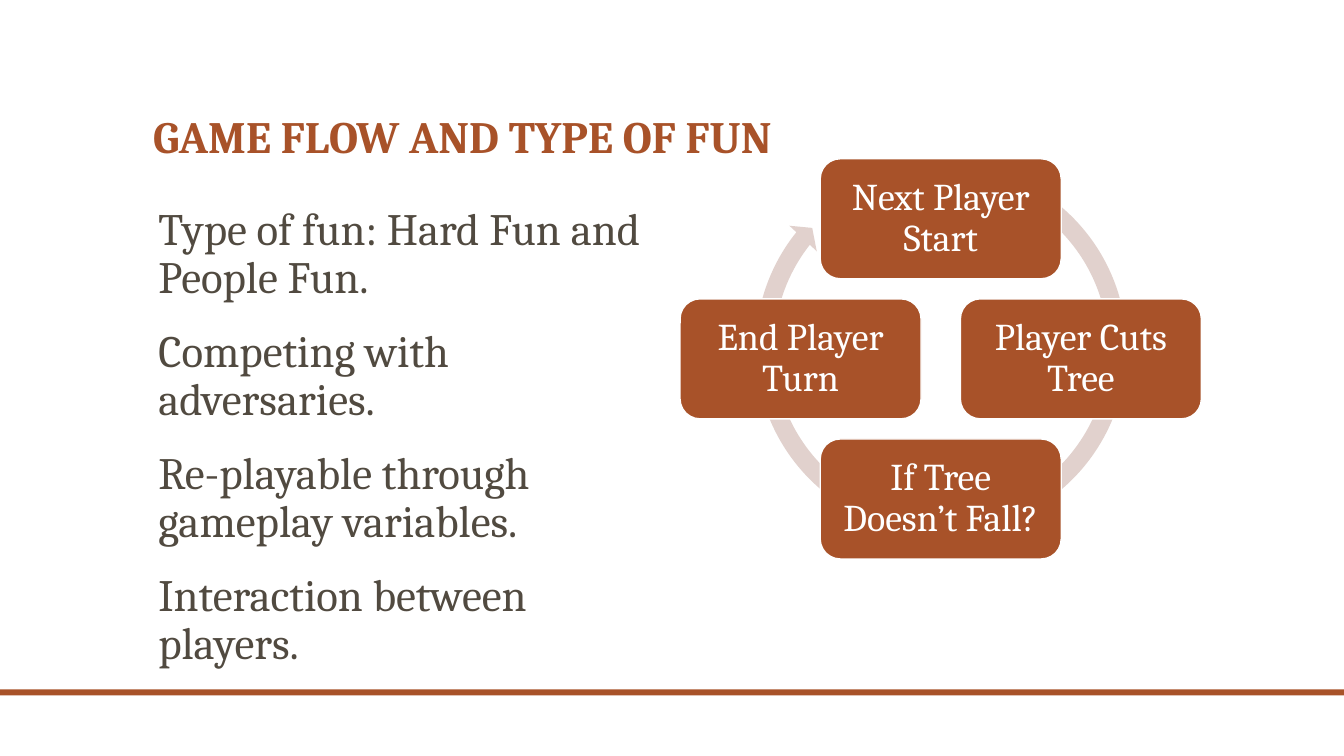
import math

import pptx
import pptx.dml.color
import pptx.enum.shapes
import pptx.enum.text
import pptx.util

Inches = pptx.util.Inches
Pt = pptx.util.Pt
Shape = pptx.enum.shapes.MSO_SHAPE
Anchor = pptx.enum.text.MSO_ANCHOR
Align = pptx.enum.text.PP_ALIGN


def color(code):
    return pptx.dml.color.RGBColor.from_string(code)


class Deck:
    font = "Cambria"
    rust, ink, blush, white = "A85229", "514A40", "E1D1CD", "FFFFFF"

    def __init__(self, slide):
        self.slide = slide

    def shape(self, kind, left, top, width, height, fill, line=None):
        item = self.slide.shapes.add_shape(
            kind, Inches(left), Inches(top), Inches(width), Inches(height))
        item.shadow.inherit = False
        item.fill.solid()
        item.fill.fore_color.rgb = color(fill)
        if line:
            item.line.color.rgb = color(line)
            item.line.width = Pt(1)
        else:
            item.line.fill.background()
        return item

    def label(self, frame, lines, size, ink, bold=False, align=Align.LEFT, gap=0):
        """Fill a text frame, one paragraph per line, gap points apart."""
        frame.word_wrap = True
        for i, line in enumerate(lines):
            para = frame.add_paragraph() if i else frame.paragraphs[0]
            para.text = line
            para.alignment = align
            para.line_spacing = 0.9
            para.space_before = Pt(gap if i else 0)
            para.font.name = self.font
            para.font.size = Pt(size)
            para.font.bold = bold
            para.font.color.rgb = color(ink)

    def text(self, left, top, width, height, lines, anchor=Anchor.TOP,
             inset=0.1, **style):
        box = self.slide.shapes.add_textbox(
            Inches(left), Inches(top), Inches(width), Inches(height))
        frame = box.text_frame
        frame.vertical_anchor = anchor
        frame.margin_left = Inches(inset)
        self.label(frame, lines, **style)

    def step(self, x, y, name):
        """Draw a rounded step of the cycle centred at x, y."""
        wide, high = 2.39, 1.19
        box = self.shape(Shape.ROUNDED_RECTANGLE, x - wide / 2, y - high / 2,
                         wide, high, self.rust, self.white)
        frame = box.text_frame
        frame.vertical_anchor = Anchor.MIDDLE
        frame.margin_left = frame.margin_right = Inches(0.11)
        frame.margin_top = frame.margin_bottom = Inches(0.11)
        self.label(frame, [name], 27, self.white, align=Align.CENTER)

    def cycle(self, x, y, radius, names):
        """Place the steps clockwise from the top over a round arrow."""
        ring = self.shape(Shape.CIRCULAR_ARROW, 7.4, 1.52, 3.87, 3.87, self.blush)
        for i, value in enumerate((0.047, 2.729, 131.088, 178.447, 0.048)):
            ring.adjustments[i] = value
        for i, name in enumerate(names):
            turn = math.tau * i / len(names)
            self.step(x + radius * math.sin(turn),
                      y - radius * math.cos(turn), name)


def main():
    show = pptx.Presentation()
    show.slide_width = Inches(13.33)
    show.slide_height = Inches(7.5)
    deck = Deck(show.slides.add_slide(show.slide_layouts[6]))

    deck.shape(Shape.RECTANGLE, 0, 6.84, 13.33, 0.06, deck.rust)
    deck.text(1.42, 0.42, 10.5, 1.25, ["GAME FLOW AND TYPE OF FUN"],
              anchor=Anchor.BOTTOM, size=32, ink=deck.rust, bold=True)
    deck.text(1.42, 2, 5.17, 4.5, [
        "Type of fun: Hard Fun and People Fun.",
        "Competing with adversaries.",
        "Re-playable through gameplay variables.",
        "Interaction between players.",
    ], inset=0.15, size=32, ink=deck.ink, gap=18)
    deck.cycle(9.33, 3.56, 1.39, [
        "Next Player Start",
        "Player Cuts Tree",
        "If Tree Doesn’t Fall?",
        "End Player Turn",
    ])
    show.save("out.pptx")


if __name__ == "__main__":
    main()
